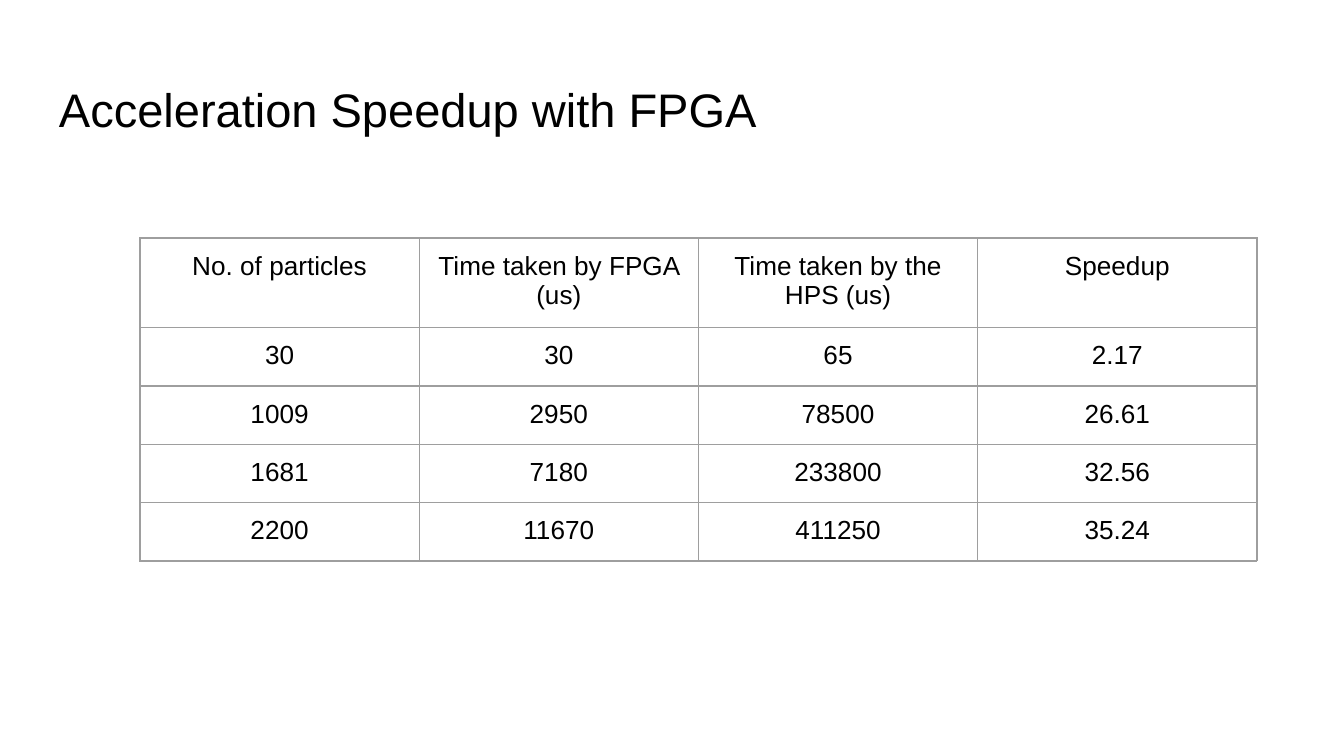
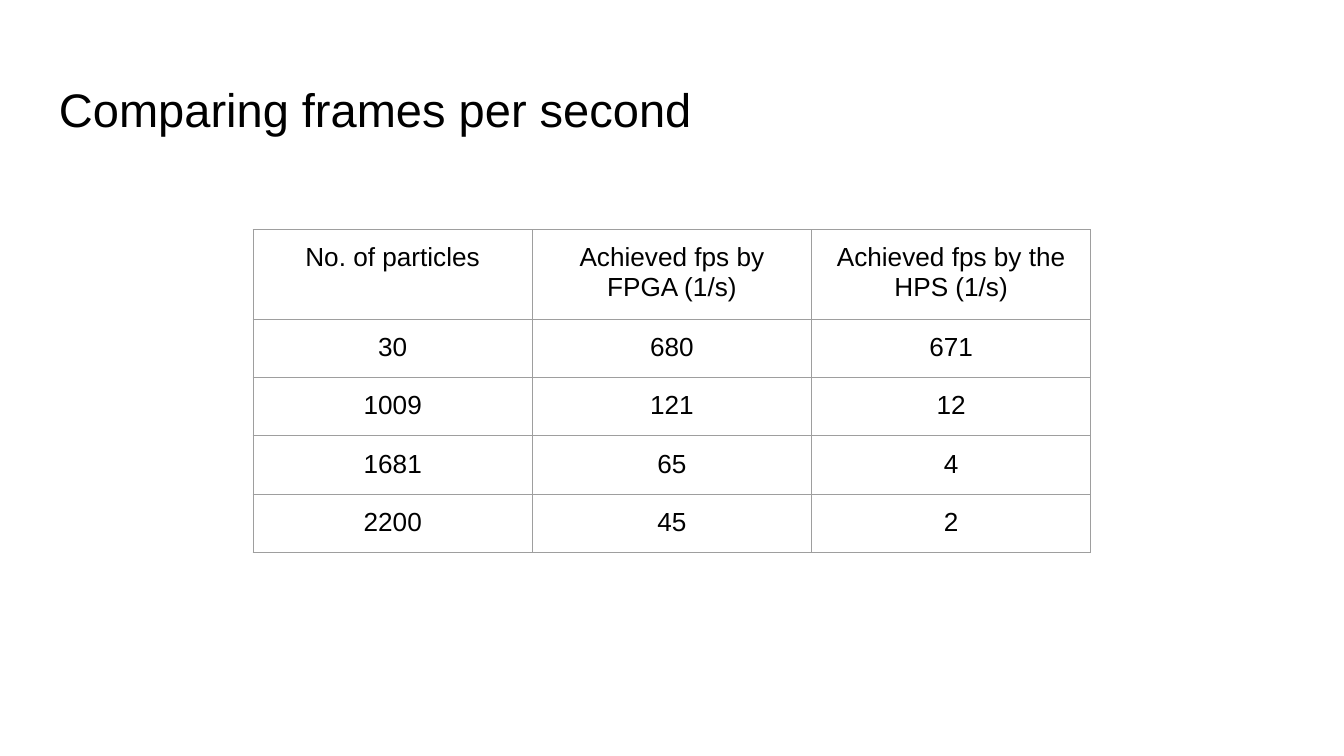
from dataclasses import dataclass

from lxml.etree import SubElement
from pptx import Presentation
from pptx.dml.color import RGBColor
from pptx.enum.text import MSO_ANCHOR, PP_ALIGN
from pptx.oxml.ns import qn
from pptx.util import Pt


@dataclass(frozen=True)
class Theme:
    font: str = "Arial"
    text: str = "000000"
    grid: str = "9E9E9E"
    title_size: float = 25.2
    table_size: float = 14
    grid_width: float = 0.75
    inset: float = 7.2


THEME = Theme()
TITLE_BOX = (24.5, 35.3, 671, 45.4)
COL_WIDTH, ROW_HEIGHT = 149.6, 30.2
MARGINS = {f"margin_{side}": Pt(THEME.inset)
           for side in ("left", "right", "top", "bottom")}

SLIDES = [
    ("Acceleration Speedup with FPGA", (75, 127.5), [
        ("No. of particles", "Time taken by FPGA (us)",
         "Time taken by the HPS (us)", "Speedup"),
        ("30", "30", "65", "2.17"),
        ("1009", "2950", "78500", "26.61"),
        ("1681", "7180", "233800", "32.56"),
        ("2200", "11670", "411250", "35.24"),
    ]),
    ("Comparing frames per second", (135.6, 123), [
        ("No. of particles", "Achieved fps by FPGA (1/s)",
         "Achieved fps by the HPS (1/s)"),
        ("30", "680", "671"),
        ("1009", "121", "12"),
        ("1681", "65", "4"),
        ("2200", "45", "2"),
    ]),
]


def set_attrs(obj, values):
    for name, value in values.items():
        setattr(obj, name, value)


def write_text(tf, text, size, align):
    p = tf.paragraphs[0]
    p.alignment = align
    r = p.add_run()
    r.text = text
    set_attrs(r.font, {"name": THEME.font, "size": Pt(size), "bold": False})
    r.font.color.rgb = RGBColor.from_string(THEME.text)


def add_title(slide, box, text):
    tf = slide.shapes.add_textbox(*map(Pt, box)).text_frame
    set_attrs(tf, {"word_wrap": True, "vertical_anchor": MSO_ANCHOR.BOTTOM,
                   **MARGINS})
    write_text(tf, text, THEME.title_size, PP_ALIGN.LEFT)


def add_borders(cell):
    """Outline all four sides; the schema wants borders ahead of the fill."""
    tc_pr = cell._tc.get_or_add_tcPr()
    for i, side in enumerate(("lnL", "lnR", "lnT", "lnB")):
        ln = SubElement(tc_pr, qn(f"a:{side}"), w=str(Pt(THEME.grid_width)))
        SubElement(SubElement(ln, qn("a:solidFill")), qn("a:srgbClr"),
                   val=THEME.grid)
        tc_pr.insert(i, ln)


def add_grid_table(slide, origin, rows):
    n_rows, n_cols = len(rows), len(rows[0])
    size = (n_cols * COL_WIDTH, n_rows * ROW_HEIGHT)
    table = slide.shapes.add_table(
        n_rows, n_cols, *map(Pt, origin + size)).table
    set_attrs(table, {"first_row": False, "horz_banding": False})
    for i, row in enumerate(rows):
        for j, text in enumerate(row):
            cell = table.cell(i, j)
            set_attrs(cell, {"vertical_anchor": MSO_ANCHOR.TOP, **MARGINS})
            cell.fill.background()
            add_borders(cell)
            write_text(cell.text_frame, text, THEME.table_size,
                       PP_ALIGN.CENTER)


def add_table_slide(prs, title, origin, rows):
    slide = prs.slides.add_slide(prs.slide_layouts[6])
    add_title(slide, TITLE_BOX, title)
    add_grid_table(slide, origin, rows)


def main():
    prs = Presentation()
    set_attrs(prs, {"slide_width": Pt(720), "slide_height": Pt(405)})
    for title, origin, rows in SLIDES:
        add_table_slide(prs, title, origin, rows)
    prs.save("out.pptx")


if __name__ == "__main__":
    main()
